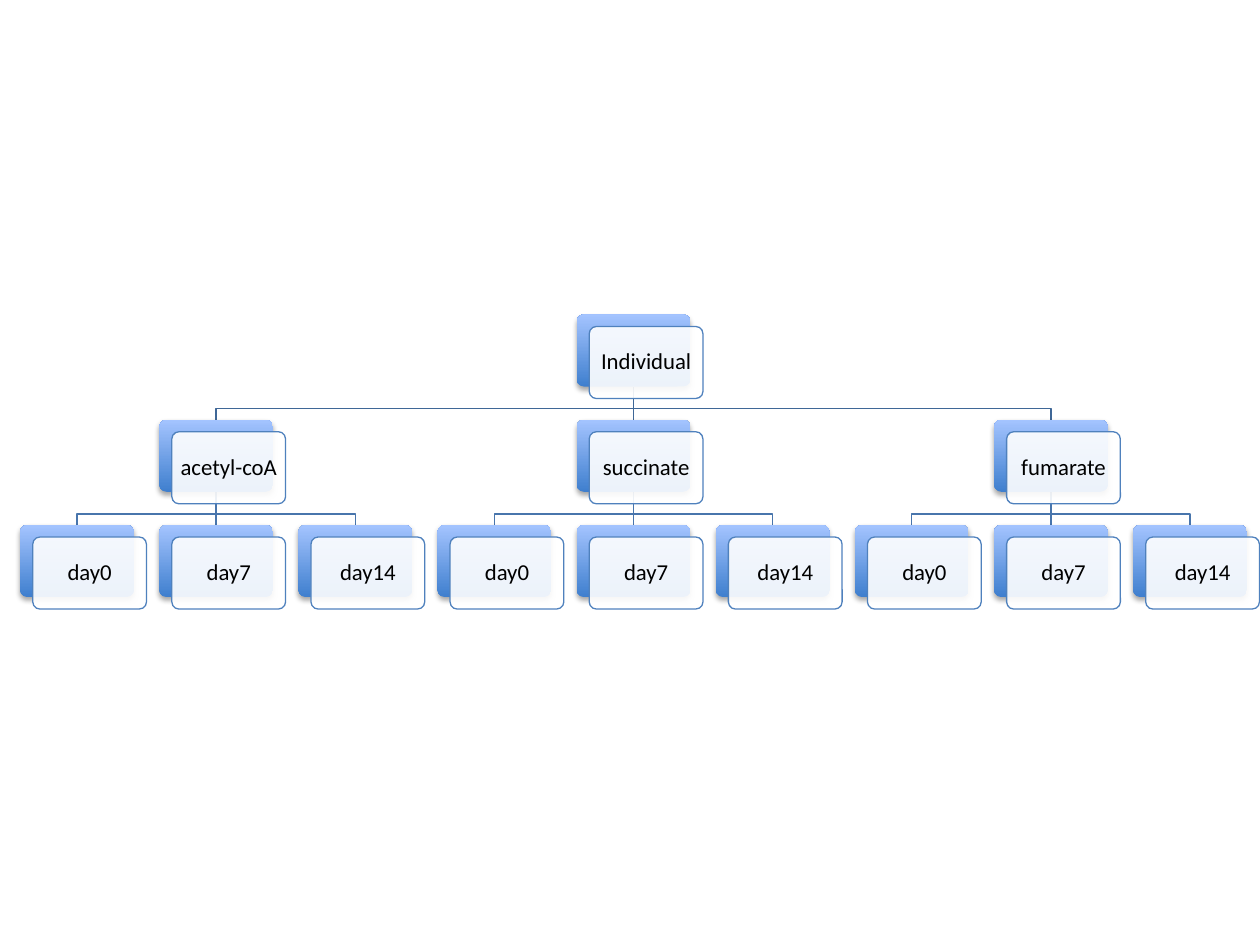
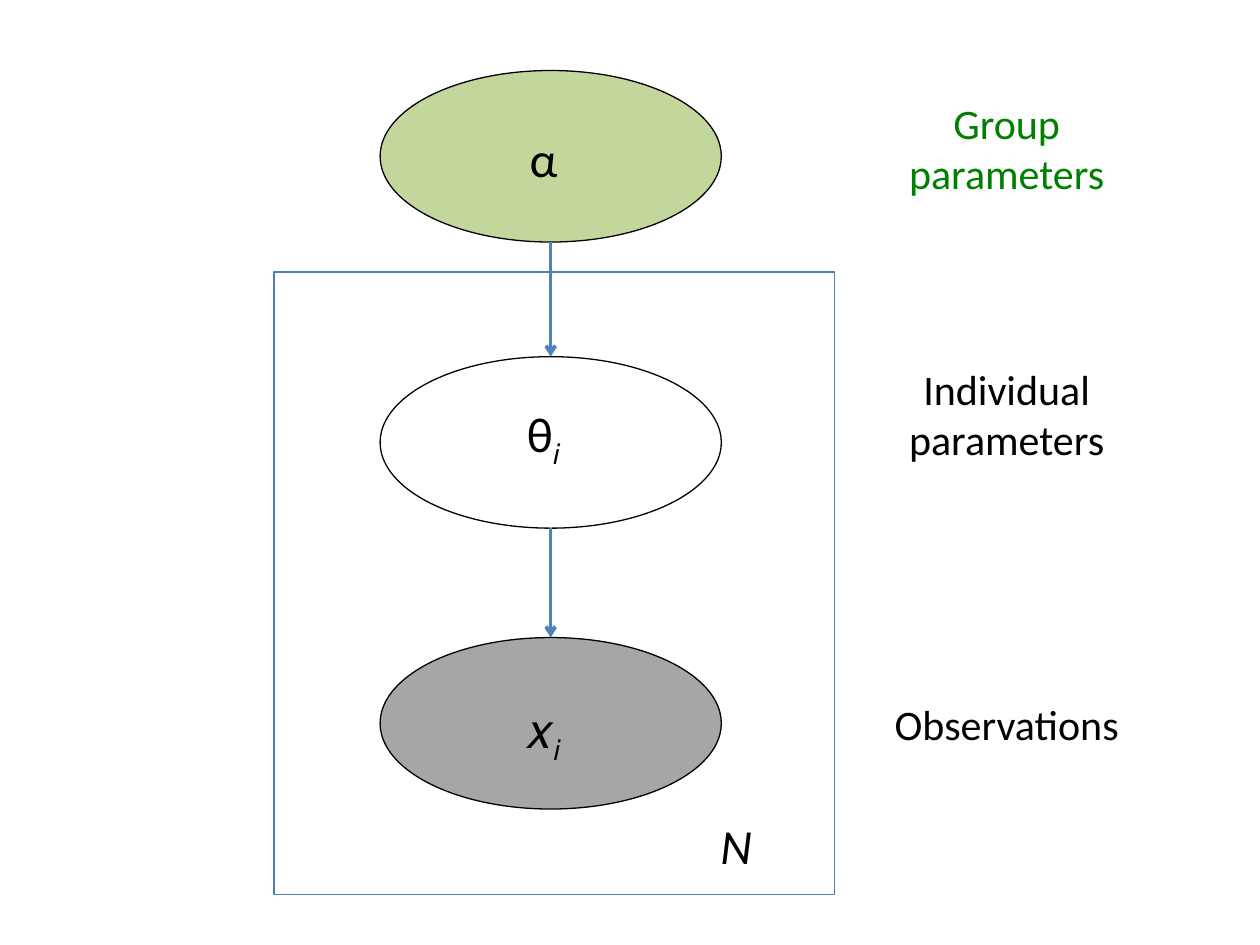
from dataclasses import dataclass

from lxml.etree import SubElement
from pptx import Presentation
from pptx.dml.color import RGBColor
from pptx.enum.shapes import MSO_CONNECTOR as Connector, MSO_SHAPE as Preset
from pptx.enum.text import MSO_ANCHOR as Anchor, MSO_AUTO_SIZE as AutoSize, PP_ALIGN as Align
from pptx.oxml.ns import qn
from pptx.util import Pt

FONT = "Calibri"
BLACK, WHITE, BLUE = "000000", "FFFFFF", "4F81BD"
CARD_DARK, CARD_LIGHT = "3F7FCE", "A4C4FF"
ROOT_LINE, BRANCH_LINE = "3F6797", "4875AC"
PLATE_LINE, GREEN, GREY, GROUP_TEXT = "4B7EBC", "C3D69B", "A6A6A6", "008000"

CARD_WIDTH, CARD_HEIGHT = 65, 41.2
COLUMN_START, COLUMN_PITCH = 44, 79.5
LEVEL_START, LEVEL_PITCH = 179.7, 60.15
FRONT_SHIFT_X, FRONT_SHIFT_Y = 7.2, 6.85
ELBOW_DROP = 12.7

NODE_CENTER, NODE_WIDTH, NODE_HEIGHT = 314.7, 195, 98
SYMBOL_LEFT, SYMBOL_WIDTH, SYMBOL_HEIGHT = 266.4, 88.5, 41
LABEL_LEFT, LABEL_WIDTH = 499, 152.5


@dataclass(frozen=True)
class Card:
    text: str
    column: int
    level: int

    @property
    def center(self) -> float:
        return COLUMN_START + self.column * COLUMN_PITCH

    @property
    def top(self) -> float:
        return LEVEL_START + self.level * LEVEL_PITCH


@dataclass(frozen=True)
class Run:
    text: str
    size: float = 28
    color: str = BLACK
    italic: bool = False
    baseline: int = 0


@dataclass(frozen=True)
class Node:
    top: float
    fill: str | None
    symbol_top: float
    symbol: tuple[Run, ...]
    label_top: float
    label_height: float
    label: str
    label_color: str = BLACK


ROOT = Card("Individual", 4, 0)
BRANCHES = [Card(name, 1 + 3 * index, 1)
            for index, name in enumerate(["acetyl-coA", "succinate", "fumarate"])]
DAYS = ["day0", "day7", "day14"]
SUBSCRIPT = Run("𝑖", baseline=-25)
NODES = [
    Node(40.3, GREEN, 69.8, (Run("α"),), 52, 65.5, "Group parameters", GROUP_TEXT),
    Node(203.8, None, 226.8, (Run("θ"), SUBSCRIPT), 204, 65.5, "Individual parameters"),
    Node(364.3, GREY, 396, (Run("𝑥"), SUBSCRIPT), 395.5, 36, "Observations"),
]


def colour(value: str) -> RGBColor:
    return RGBColor.from_string(value)


def add_paragraph_runs(frame, runs: tuple[Run, ...]):
    paragraph = frame.paragraphs[0]
    paragraph.alignment = Align.CENTER
    for item in runs:
        run = paragraph.add_run()
        run.text = item.text
        run.font.name = FONT
        run.font.size = Pt(item.size)
        run.font.color.rgb = colour(item.color)
        if item.italic:
            run.font.italic = True
        if item.baseline:
            run.font._element.set("baseline", str(item.baseline * 1000))
    return paragraph


def add_text(slide, left: float, top: float, width: float, height: float,
             *runs: Run) -> None:
    box = slide.shapes.add_textbox(Pt(left), Pt(top), Pt(width), Pt(height))
    box.text_frame.word_wrap = True
    box.text_frame.auto_size = AutoSize.SHAPE_TO_FIT_TEXT
    add_paragraph_runs(box.text_frame, runs)


def style_shape(shape, fill: str | None, line: str | None) -> None:
    shape.shadow.inherit = False
    if fill:
        shape.fill.solid()
        shape.fill.fore_color.rgb = colour(fill)
    else:
        shape.fill.background()
    if line:
        shape.line.color.rgb = colour(line)
        shape.line.width = Pt(0.75)
    else:
        shape.line.fill.background()


def add_box(slide, preset, left: float, top: float, width: float, height: float,
            fill: str | None, line: str | None):
    shape = slide.shapes.add_shape(preset, Pt(left), Pt(top), Pt(width), Pt(height))
    style_shape(shape, fill, line)
    return shape


def add_line(slide, x: float, top: float, bottom: float, color: str,
             width: float, arrow: bool = False) -> None:
    connector = slide.shapes.add_connector(
        Connector.STRAIGHT, Pt(x), Pt(top), Pt(x), Pt(bottom))
    connector.line.color.rgb = colour(color)
    connector.line.width = Pt(width)
    if arrow:
        SubElement(connector.line._get_or_add_ln(), qn("a:tailEnd"), type="arrow")
    SubElement(connector._element.spPr, qn("a:effectLst"))


def add_branch(slide, parent: Card, child: Card, color: str) -> None:
    start = parent.top + CARD_HEIGHT
    if parent.column == child.column:
        add_line(slide, parent.center, start, child.top, color, 0.75)
        return
    elbow = start + ELBOW_DROP
    points = [(parent.center, elbow), (child.center, elbow), (child.center, child.top)]
    builder = slide.shapes.build_freeform(Pt(parent.center), Pt(start))
    builder.add_line_segments([(Pt(x), Pt(y)) for x, y in points], close=False)
    style_shape(builder.convert_to_shape(), None, color)


def add_card_shadow(shape) -> None:
    effects = shape._element.spPr.find(qn("a:effectLst"))
    shadow = SubElement(effects, qn("a:outerShdw"), blurRad=str(Pt(3.1)),
                        dist=str(Pt(1.8)), dir="5400000", rotWithShape="0")
    shade = SubElement(shadow, qn("a:srgbClr"), val=BLACK)
    SubElement(shade, qn("a:alpha"), val="35000")


def add_card(slide, card: Card) -> None:
    left = card.center - CARD_WIDTH / 2
    back = add_box(slide, Preset.ROUNDED_RECTANGLE, left, card.top,
                   CARD_WIDTH, CARD_HEIGHT, CARD_DARK, None)
    back.fill.gradient()
    back.fill.gradient_angle = 90
    for stop, position, color in zip(back.fill.gradient_stops, (0, 1),
                                     (CARD_DARK, CARD_LIGHT)):
        stop.position = position
        stop.color.rgb = colour(color)
    add_card_shadow(back)

    front = add_box(slide, Preset.ROUNDED_RECTANGLE, left + FRONT_SHIFT_X,
                    card.top + FRONT_SHIFT_Y, CARD_WIDTH, CARD_HEIGHT, WHITE, BLUE)
    fill_color = front._element.spPr.find(qn("a:solidFill"))[0]
    SubElement(fill_color, qn("a:alpha"), val="90000")
    for shape in (back, front):
        shape.adjustments[0] = 0.1
    frame = front.text_frame
    frame.word_wrap = True
    frame.vertical_anchor = Anchor.MIDDLE
    frame.margin_left = frame.margin_right = Pt(3.6)
    frame.margin_top = frame.margin_bottom = Pt(3.6)
    add_paragraph_runs(frame, (Run(card.text, 13),)).line_spacing = 0.9


def build_tree(slide) -> None:
    links = [(ROOT, branch, ROOT_LINE) for branch in BRANCHES]
    cards = [ROOT]
    for branch in BRANCHES:
        days = [Card(day, branch.column - 1 + index, 2) for index, day in enumerate(DAYS)]
        links += [(branch, day, BRANCH_LINE) for day in days]
        cards += [branch, *days]
    for parent, child, color in links:
        add_branch(slide, parent, child, color)
    for card in cards:
        add_card(slide, card)


def build_model(slide) -> None:
    for node in NODES:
        add_box(slide, Preset.OVAL, NODE_CENTER - NODE_WIDTH / 2, node.top,
                NODE_WIDTH, NODE_HEIGHT, node.fill, BLACK)
    add_box(slide, Preset.RECTANGLE, 156.5, 155.5, 320.5, 355.5, None, PLATE_LINE)
    for node in NODES:
        add_text(slide, SYMBOL_LEFT, node.symbol_top, SYMBOL_WIDTH, SYMBOL_HEIGHT,
                 *node.symbol)
        add_text(slide, LABEL_LEFT, node.label_top, LABEL_WIDTH, node.label_height,
                 Run(node.label, 24, node.label_color))
    for upper, lower in zip(NODES, NODES[1:]):
        add_line(slide, NODE_CENTER, upper.top + NODE_HEIGHT, lower.top, BLUE, 2, arrow=True)
    add_text(slide, 376.5, 462.3, SYMBOL_WIDTH, SYMBOL_HEIGHT, Run("N", italic=True))


def main() -> None:
    presentation = Presentation()
    presentation.slide_width, presentation.slide_height = Pt(720), Pt(540)
    blank = presentation.slide_layouts[6]
    for build in (build_tree, build_model):
        build(presentation.slides.add_slide(blank))
    presentation.save("out.pptx")


if __name__ == "__main__":
    main()
